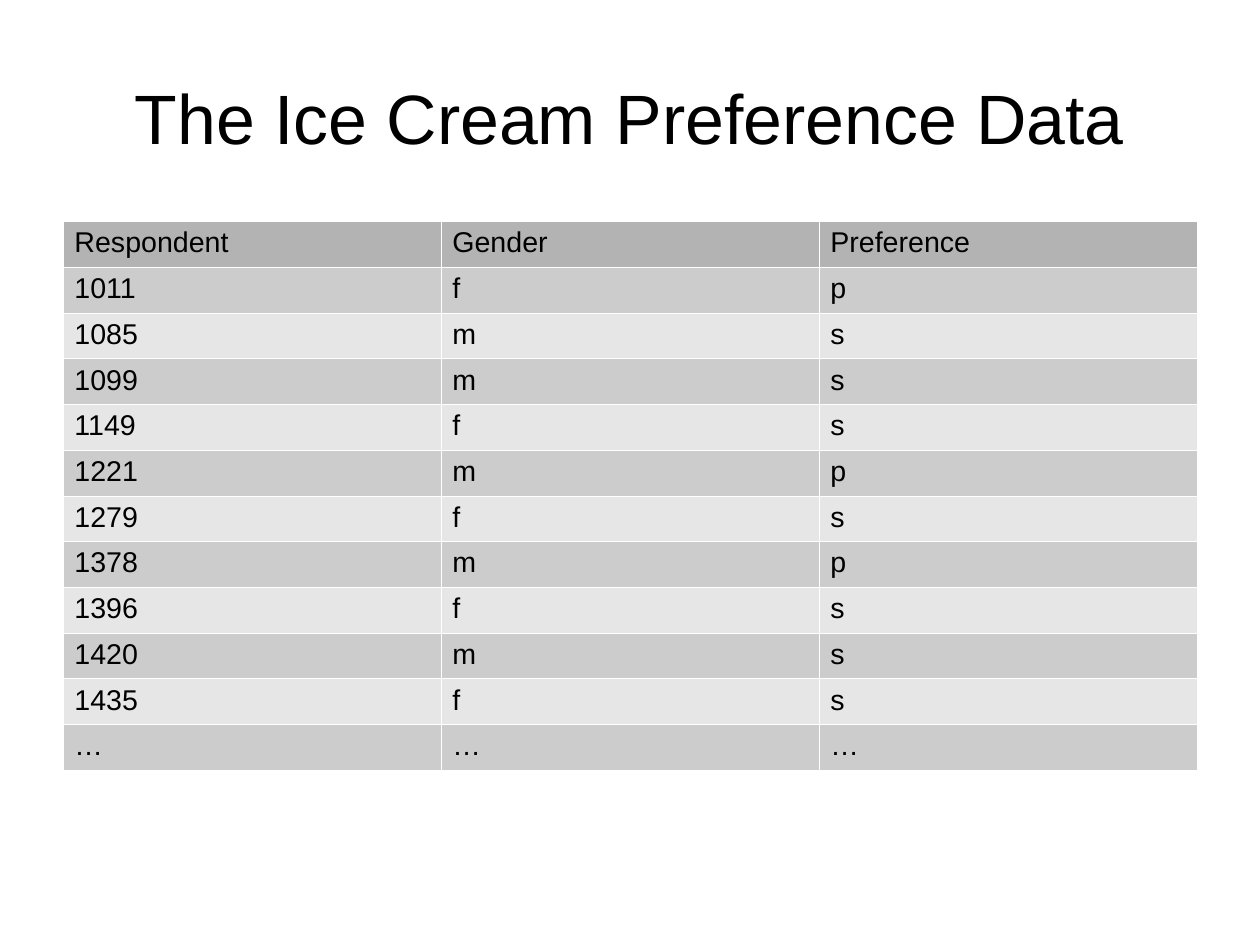
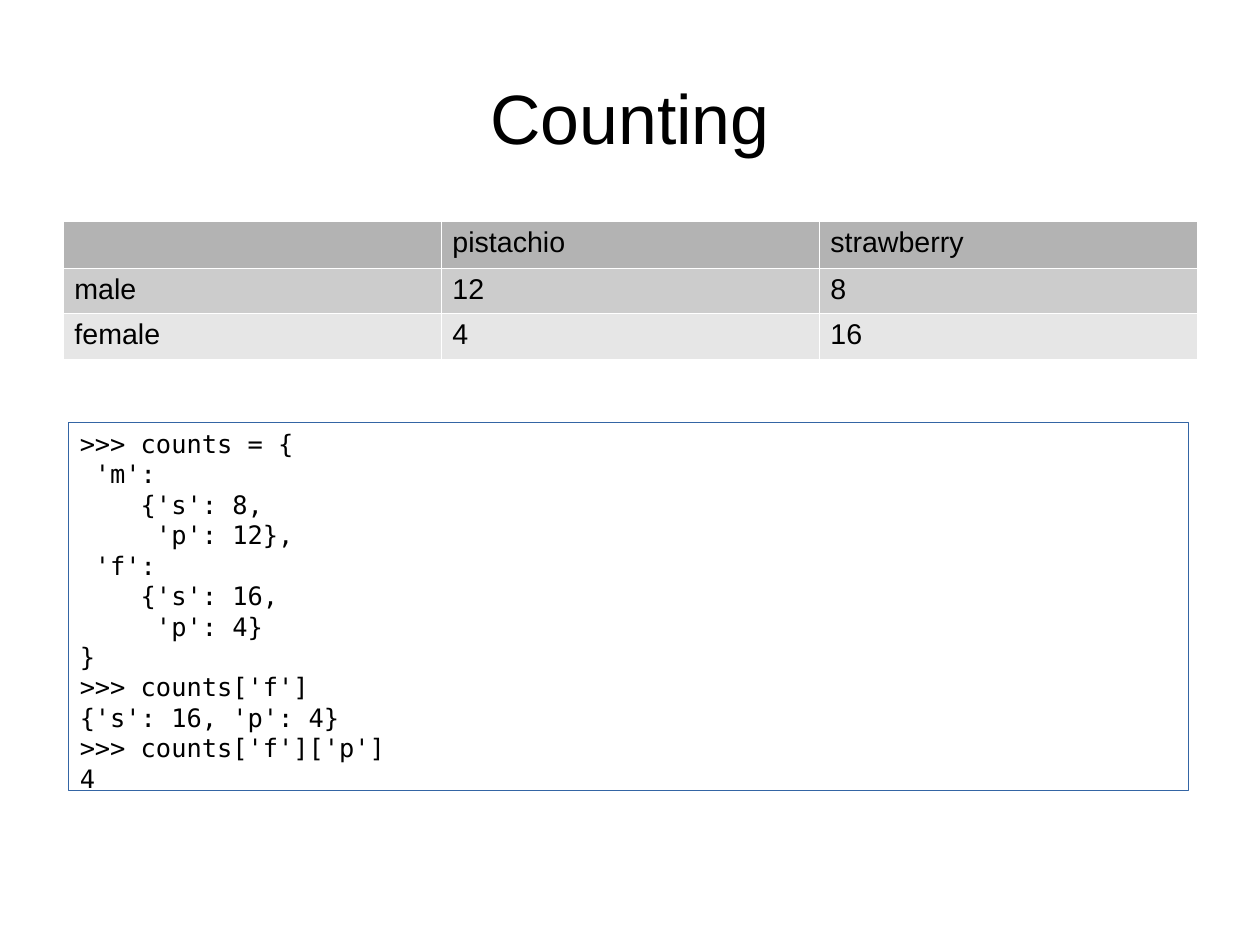
"""Build two slides on ice cream preferences: the survey data and the counts."""
import pptx
import pptx.dml.color
import pptx.enum.shapes
import pptx.enum.text
import pptx.oxml
import pptx.oxml.ns
import pptx.util

Pt = pptx.util.Pt
RGB = pptx.dml.color.RGBColor.from_string
ALIGN = pptx.enum.text.PP_ALIGN
ANCHOR = pptx.enum.text.MSO_ANCHOR

COLOURS = {"text": "000000", "header": "B3B3B3", "odd": "CCCCCC",
           "even": "E6E6E6", "grid": "FFFFFF", "outline": "3465A4"}
LEFT, WIDTH = 39.7, 714.3
TITLE_TOP, TITLE_HEIGHT = 23.8, 99.4
TABLE_TOP, ROW_HEIGHT = 139.4, 28.8
INSET_X, INSET_Y = 7.2, 3.6


def write(frame, text, size=18, font="Arial", align=ALIGN.LEFT,
          anchor=ANCHOR.TOP, inset=(INSET_X, INSET_Y), spacing=None):
    """Fill a text frame, one paragraph per line of text."""
    frame.word_wrap = True
    frame.auto_size = pptx.enum.text.MSO_AUTO_SIZE.NONE
    frame.vertical_anchor = anchor
    frame.margin_left = frame.margin_right = Pt(inset[0])
    frame.margin_top = frame.margin_bottom = Pt(inset[1])
    for number, line in enumerate(text.split("\n")):
        paragraph = frame.add_paragraph() if number else frame.paragraphs[0]
        paragraph.alignment = align
        if spacing:
            paragraph.line_spacing = Pt(spacing)
        run = paragraph.add_run()
        run.text = line
        run.font.size = Pt(size)
        run.font.name = font
        run.font.color.rgb = RGB(COLOURS["text"])


def add_grid(slide, records):
    """Add a table with a header row, banded rows and thin white borders."""
    frame = slide.shapes.add_table(len(records), len(records[0]), Pt(LEFT), Pt(TABLE_TOP),
                                   Pt(WIDTH), Pt(ROW_HEIGHT * len(records)))
    grid = frame.table
    grid.first_row = grid.horz_banding = False
    for row, record in enumerate(records):
        grid.rows[row].height = Pt(ROW_HEIGHT)
        band = "header" if row == 0 else "odd" if row % 2 else "even"
        for column, value in enumerate(record):
            cell = grid.cell(row, column)
            properties = cell._tc.get_or_add_tcPr()
            for side in ("lnL", "lnR", "lnT", "lnB"):
                properties.append(pptx.oxml.parse_xml(
                    f'<a:{side} {pptx.oxml.ns.nsdecls("a")} w="{Pt(0.06)}"><a:solidFill>'
                    f'<a:srgbClr val="{COLOURS["grid"]}"/></a:solidFill></a:{side}>'))
            cell.fill.solid()
            cell.fill.fore_color.rgb = RGB(COLOURS[band])
            if value:
                write(cell.text_frame, value)


survey = [
    ("Respondent", "Gender", "Preference"),
    ("1011", "f", "p"),
    ("1085", "m", "s"),
    ("1099", "m", "s"),
    ("1149", "f", "s"),
    ("1221", "m", "p"),
    ("1279", "f", "s"),
    ("1378", "m", "p"),
    ("1396", "f", "s"),
    ("1420", "m", "s"),
    ("1435", "f", "s"),
    ("…", "…", "…"),
]
totals = [
    ("", "pistachio", "strawberry"),
    ("male", "12", "8"),
    ("female", "4", "16"),
]
session = """>>> counts = {
 'm':
    {'s': 8,
     'p': 12},
 'f':
    {'s': 16,
     'p': 4}
}
>>> counts['f']
{'s': 16, 'p': 4}
>>> counts['f']['p']
4"""

deck = pptx.Presentation()
deck.slide_width, deck.slide_height = Pt(793.7), Pt(595.3)
title_only = deck.slide_layouts[5]

for heading, records in (("The Ice Cream Preference Data", survey), ("Counting", totals)):
    slide = deck.slides.add_slide(title_only)
    title = slide.shapes.title
    title.left, title.top = Pt(LEFT), Pt(TITLE_TOP)
    title.width, title.height = Pt(WIDTH), Pt(TITLE_HEIGHT)
    write(title.text_frame, heading, size=44, align=ALIGN.CENTER,
          anchor=ANCHOR.MIDDLE, inset=(0, 0))
    add_grid(slide, records)

console = slide.shapes.add_shape(pptx.enum.shapes.MSO_SHAPE.RECTANGLE,
                                 Pt(43.2), Pt(266), Pt(705.6), Pt(232))
console.shadow.inherit = False
console.fill.background()
console.line.color.rgb = RGB(COLOURS["outline"])
console.line.width = Pt(0)
write(console.text_frame, session, size=16, font="DejaVu Sans Mono", spacing=19.2)

deck.save("out.pptx")
